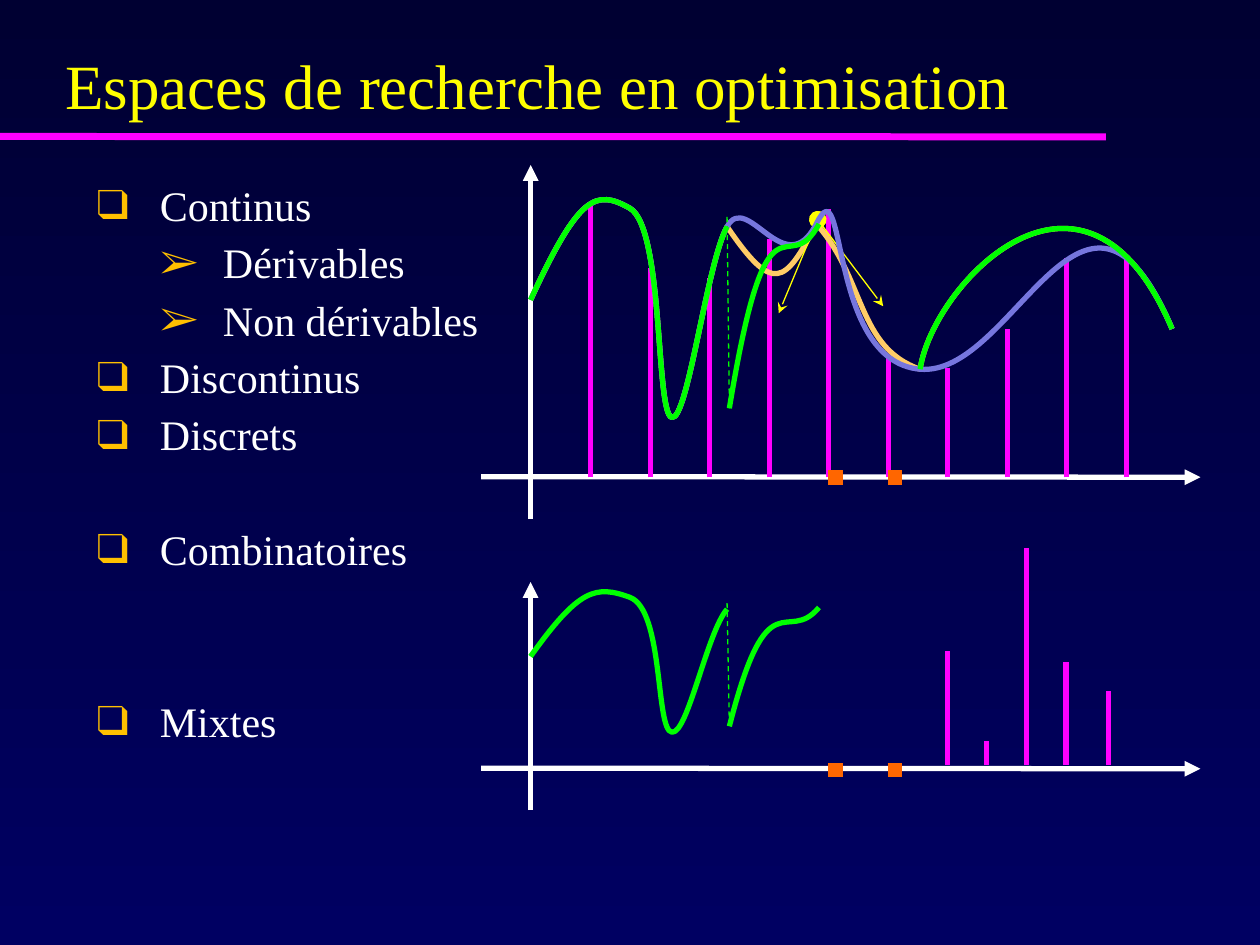
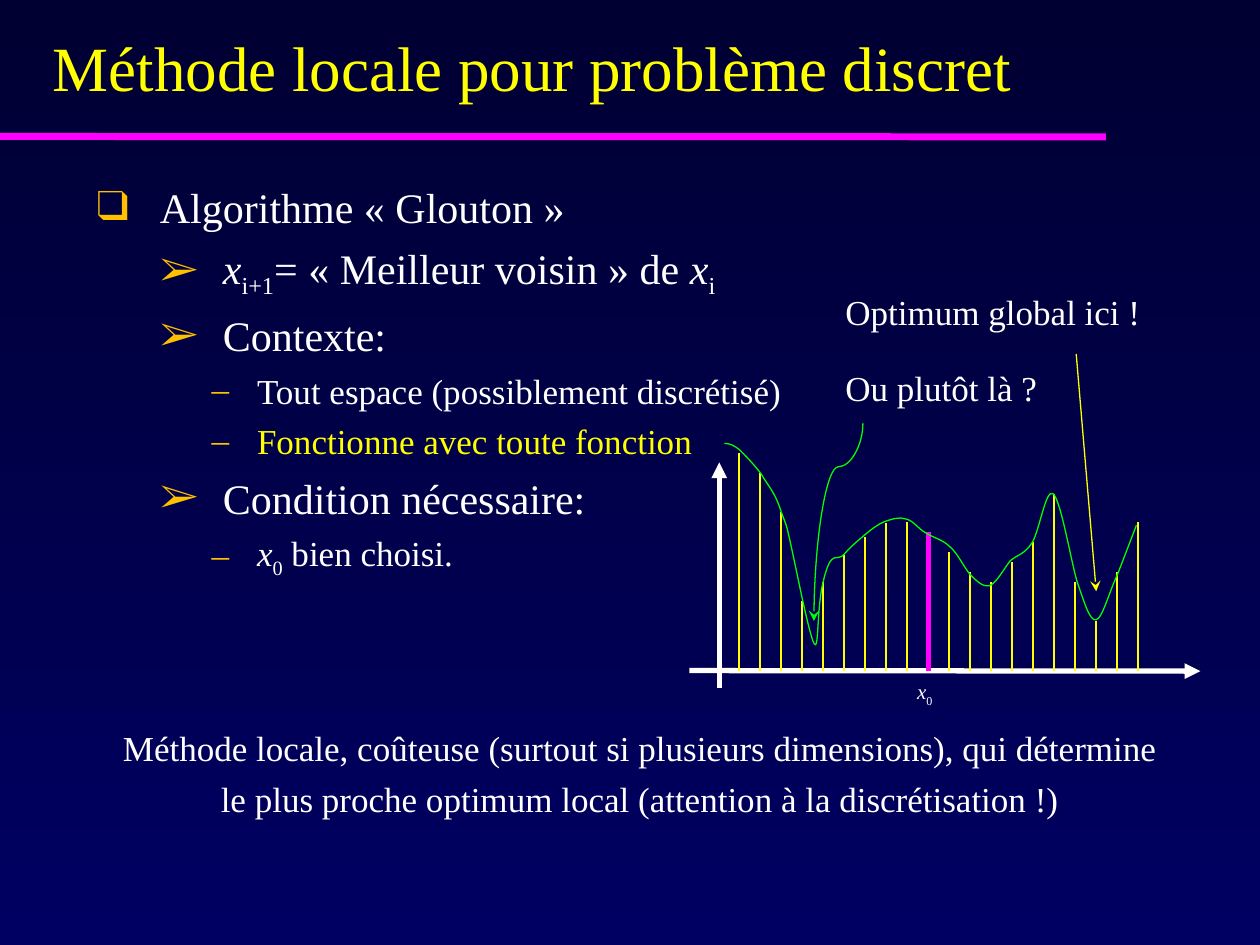
from dataclasses import dataclass
from typing import NamedTuple

from lxml.etree import SubElement
from pptx import Presentation
from pptx.dml.color import RGBColor
from pptx.enum.shapes import MSO_CONNECTOR
from pptx.enum.text import MSO_ANCHOR, MSO_AUTO_SIZE, PP_ALIGN
from pptx.oxml.ns import qn
from pptx.util import Pt


@dataclass(frozen=True)
class Theme:
    font: str = "Times New Roman"
    top: str = "000032"
    bottom: str = "000062"
    white: str = "FFFFFF"
    yellow: str = "FFFF00"
    magenta: str = "FF00FF"
    green: str = "00FF00"
    sand: str = "FFCC66"
    violet: str = "7676DE"
    orange: str = "FF6600"
    bullet: str = "FFC000"
    title_size: float = 36
    text_size: float = 24
    small_size: float = 20
    label_size: float = 12
    thick: float = 3
    thin: float = 0.75


T = Theme()


class Box(NamedTuple):
    left: float
    top: float
    width: float
    height: float


class Bullet(NamedTuple):
    char: str
    left: float
    hang: float
    size: float
    before: float


class Run(NamedTuple):
    text: str
    italic: bool = False
    sub: bool = False
    color: str = T.white


class Para(NamedTuple):
    runs: list[Run]
    level: int | None = None
    size: float = T.small_size
    before: float | None = None
    align: PP_ALIGN = PP_ALIGN.LEFT


class Stroke(NamedTuple):
    color: str
    width: float = T.thick
    dash: str = ""
    head: str = ""
    tail: str = ""


Point = tuple[float, float]
Curve = list[Point]  # a start, then three points for each cubic piece

BULLETS = [
    Bullet("❑", 36, -36, T.text_size, 6),
    Bullet("➢", 72, -36, T.text_size, 6),
    Bullet("–", 91.5, -26, T.small_size, 5),
]
AXIS = Stroke(T.white, tail="triangle")
SAMPLE = Stroke(T.magenta)
SIGNAL = Stroke(T.green)

# Search space curves
WAVE: Curve = [(303.2, 171.4), (331, 111), (340.5, 108), (360, 119), (379.5, 130.5),
               (374.5, 237), (384, 238.5), (393, 240.5), (404, 150), (415.5, 129.5)]
BRANCH: Curve = [(416.8, 233.3), (439, 98.5), (449.5, 162.5), (468, 128)]
HILL: Curve = [(525.8, 211), (533, 162.5), (620, 70), (669.8, 188)]
KINKED: Curve = WAVE + [(442, 168.5), (448.5, 162.5), (466.5, 128),
                        (494.5, 159), (489.5, 198.5)] + HILL
SMOOTH: Curve = WAVE + [(427, 108.5), (448.5, 162.5), (466.5, 128), (484, 91.5),
                        (472.5, 206.5), (525.8, 211), (579.5, 215.5)] + HILL[2:]
SAMPLE_TOPS = [118, 153.4, 159, 136.8, 119.5, 204.5, 210.2, 187.8, 147.6, 147.6]
MIXED_BARS = [(541.5, 372.2), (563.9, 423.3), (586.6, 313.2), (609.2, 378), (633.6, 394.8)]

# Discrete problem
NEIGHBOUR_TOPS = [258.6, 270, 292.5, 343.5, 332.7, 317, 306.7, 299, 298.2, 304,
                  315.5, 327, 332.7, 321, 309.7, 282.3, 332.7, 355, 327, 298.2]
START_INDEX = 9
LANDSCAPE: Curve = [
    (414, 253.4), (416.9, 253.4), (419, 254.2), (422.6, 257),
    (425.5, 259.9), (430.6, 265), (434.9, 270.7), (438.5, 277.2), (442.8, 280.8), (446.4, 292.3),
    (450.7, 304.6), (447.8, 291.6), (458.6, 342.7), (470.2, 394.6), (465.1, 355.7), (470.2, 333.4),
    (475.2, 311.8), (478.1, 321.8), (482.4, 316.8), (486, 312.5), (490.3, 308.9), (494.6, 305.3),
    (498.2, 302.4), (501.8, 299.5), (505.4, 298.1), (509.8, 296.6), (514.1, 295.2), (517.7, 296.6),
    (522, 297.4), (524.9, 302.4), (529.2, 304.6), (533.5, 307.4), (538.6, 308.2), (542.9, 312.5),
    (547.2, 316.1), (550.8, 324), (554.4, 328.3), (558, 331.9), (561.6, 335.5), (565.2, 334.8),
    (569.5, 333.4), (573.8, 324.7), (577.4, 320.4), (581.8, 316.8), (585.4, 316.8), (589.7, 310.3),
    (594, 303.8), (597.6, 278.6), (601.9, 282.2), (606.2, 285.8), (612, 320.4), (615.6, 332.6),
    (619.9, 344.9), (622.8, 355), (626.4, 354.2), (630, 353.5), (634.3, 337), (638.6, 328.3),
    (642.2, 319), (649.4, 300.2), (649.4, 300.2),
]


def style_line(sp, stroke: Stroke) -> None:
    sp.line.color.rgb = RGBColor.from_string(stroke.color)
    sp.line.width = Pt(stroke.width)
    ln = sp.line._get_or_add_ln()
    for tag, kind, value in (("a:prstDash", "val", stroke.dash),
                             ("a:headEnd", "type", stroke.head),
                             ("a:tailEnd", "type", stroke.tail)):
        if value:
            part = SubElement(ln, qn(tag))
            part.set(kind, value)
            if value == "oval":
                part.set("w", "lg")
                part.set("len", "lg")


def add_line(s, start: Point, end: Point, stroke: Stroke, kind=MSO_CONNECTOR.STRAIGHT):
    sp = s.shapes.add_connector(kind, *(Pt(v) for v in (*start, *end)))
    style_line(sp, stroke)
    SubElement(sp._element.spPr, qn("a:effectLst"))
    return sp


def add_turned_curve(s, box: Box, bend: int, stroke: Stroke) -> None:
    """Curved connector given by its box before a quarter turn clockwise."""
    end = (box.left + box.width, box.top + box.height)
    sp = add_line(s, (box.left, box.top), end, stroke, MSO_CONNECTOR.CURVE)
    sp_pr = sp._element.spPr
    sp_pr.find(qn("a:xfrm")).set("rot", "5400000")
    guides = sp_pr.find(qn("a:prstGeom")).find(qn("a:avLst"))
    guide = SubElement(guides, qn("a:gd"))
    guide.set("name", "adj1")
    guide.set("fmla", f"val {bend}")


def sample_curve(curve: Curve, steps: int = 24) -> list[Point]:
    points = []
    for i in range(0, len(curve) - 1, 3):
        for k in range(1, steps + 1):
            t = k / steps
            weights = ((1 - t) ** 3, 3 * t * (1 - t) ** 2, 3 * t * t * (1 - t), t ** 3)
            points.append(tuple(sum(w * c[axis] for w, c in zip(weights, curve[i:i + 4]))
                                for axis in (0, 1)))
    return points


def add_curve(s, curve: Curve, stroke: Stroke) -> None:
    """Freeform sized by the sampled curve, then drawn with its cubic pieces."""
    builder = s.shapes.build_freeform(*(Pt(v) for v in curve[0]))
    builder.add_line_segments([(Pt(x), Pt(y)) for x, y in sample_curve(curve)], close=False)
    sp = builder.convert_to_shape()
    outline = next(sp._element.iter(qn("a:path")))
    for segment in outline.findall(qn("a:lnTo")):
        outline.remove(segment)
    for i in range(1, len(curve), 3):
        piece = SubElement(outline, qn("a:cubicBezTo"))
        for x, y in curve[i:i + 3]:
            pt = SubElement(piece, qn("a:pt"))
            pt.set("x", str(Pt(x) - sp.left))
            pt.set("y", str(Pt(y) - sp.top))
    sp.fill.background()
    sp.shadow.inherit = False
    style_line(sp, stroke)


def add_run(p, run: Run, size: float) -> None:
    r = p.add_run()
    r.text = run.text
    r.font.name = T.font
    r.font.size = Pt(size)
    r.font.italic = run.italic
    r.font.color.rgb = RGBColor.from_string(run.color)
    if run.sub:
        r.font._element.set("baseline", "-25000")


def add_bullet(p, bullet: Bullet) -> None:
    p_pr = p._p.get_or_add_pPr()
    p_pr.set("marL", str(Pt(bullet.left)))
    p_pr.set("indent", str(Pt(bullet.hang)))
    color = SubElement(SubElement(p_pr, qn("a:buClr")), qn("a:srgbClr"))
    color.set("val", T.bullet)
    SubElement(p_pr, qn("a:buFont")).set("typeface", T.font)
    SubElement(p_pr, qn("a:buChar")).set("char", bullet.char)


def add_text(s, box: Box, paras: list[Para], spacing: float | None = None) -> None:
    tf = s.shapes.add_textbox(*(Pt(v) for v in box)).text_frame
    tf.word_wrap = True
    for i, para in enumerate(paras):
        p = tf.paragraphs[0] if i == 0 else tf.add_paragraph()
        p.alignment = para.align
        if spacing:
            p.line_spacing = spacing
        bullet = None if para.level is None else BULLETS[para.level]
        before = para.before
        if before is None and bullet and i:
            before = bullet.before
        p.space_before = Pt(before or 0)
        if bullet:
            p.level = para.level
            add_bullet(p, bullet)
        for run in para.runs:
            add_run(p, run, bullet.size if bullet else para.size)


def set_master(prs) -> None:
    """Give every slide the gradient background and the magenta title rule."""
    master = prs.slide_master
    fill = master.background.fill
    fill.gradient()
    fill.gradient_angle = 270
    for stop, color, position in zip(fill.gradient_stops, (T.top, T.bottom), (0, 1)):
        stop.color.rgb = RGBColor.from_string(color)
        stop.position = position
    rule = add_line(prs.slides[0], (0, 78), (632, 78.2), Stroke(T.magenta, 4))
    master.shapes._spTree.append(rule._element)


def add_slide(prs, title: str, box: Box, anchor: MSO_ANCHOR, inset: Point):
    s = prs.slides.add_slide(prs.slide_layouts[5])
    sp = s.shapes.title
    sp.left, sp.top, sp.width, sp.height = (Pt(v) for v in box)
    tf = sp.text_frame
    tf.auto_size = MSO_AUTO_SIZE.NONE
    tf.word_wrap = True
    tf.vertical_anchor = anchor
    tf.margin_left = tf.margin_right = Pt(inset[0])
    tf.margin_top = tf.margin_bottom = Pt(inset[1])
    p = tf.paragraphs[0]
    p.alignment = PP_ALIGN.LEFT
    p.line_spacing = 0.68
    add_run(p, Run(title, color=T.yellow), T.title_size)
    return s


def add_axes(s, x: float, bottom: float, top: float, left: float, y: float) -> None:
    add_line(s, (x, bottom), (x, top), AXIS)
    add_line(s, (left, y), (686, y + 0.3), AXIS)


def add_signal(s, dots_y: float, scale: float = 1, shift: float = 0) -> None:
    """Discontinuous green signal with its dashed jump and two discrete points."""
    def place(curve: Curve) -> Curve:
        return [(x, y * scale + shift) for x, y in curve]

    for curve in (WAVE, BRANCH):
        add_curve(s, place(curve), SIGNAL)
    add_line(s, (473.2, dots_y), (530, dots_y), Stroke(T.orange, 8.5, dash="dot"))
    add_line(s, *place([(415.5, 124), (416.8, 233.3)]), Stroke(T.green, T.thin, dash="dash"))


def build_spaces(prs) -> None:
    s = add_slide(prs, "Espaces de recherche en optimisation",
                  Box(30.2, 21.6, 612, 50.4), MSO_ANCHOR.BOTTOM, (7.2, 3.6))
    items = [("Continus", 0, None), ("Dérivables", 1, None), ("Non dérivables", 1, None),
             ("Discontinus", 0, None), ("Discrets", 0, None),
             ("Combinatoires", 0, 38.8), ("Mixtes", 0, 71.5)]
    add_text(s, Box(48.3, 101.5, 608, 384),
             [Para([Run(text)], level, before=before) for text, level, before in items], 0.93)

    add_axes(s, 303.3, 296.6, 94.3, 275, 272.4)
    for i, top in enumerate(SAMPLE_TOPS):
        x = 337.6 + 34 * i
        add_line(s, (x, 272.8), (x, top), SAMPLE)
    add_curve(s, KINKED, Stroke(T.sand))
    for tip in ((504.7, 175), (445, 179)):
        add_line(s, (467.3, 125.5), tip, Stroke(T.yellow, T.thin, head="oval", tail="stealth"))
    add_curve(s, SMOOTH, Stroke(T.violet))
    add_curve(s, HILL, SIGNAL)
    add_signal(s, 272.8)

    add_axes(s, 303.2, 463, 332.6, 275, 439)
    add_signal(s, 440, scale=0.645, shift=264.6)
    for x, top in MIXED_BARS:
        add_line(s, (x, 437.2), (x, top), SAMPLE)


def build_greedy(prs) -> None:
    s = add_slide(prs, "Méthode locale pour problème discret",
                  Box(30.2, 14.4, 692, 58.3), MSO_ANCHOR.MIDDLE, (0, 0))
    x_var = Run("x", italic=True)
    zero = Run("0", sub=True)
    add_text(s, Box(48.3, 100, 576, 324), [
        Para([Run("Algorithme « Glouton »")], 0),
        Para([x_var, Run("i+1", sub=True), Run("= « Meilleur voisin » de "),
              x_var, Run("i", sub=True)], 1),
        Para([Run("Contexte:")], 1),
        Para([Run("Tout espace (possiblement discrétisé)")], 2),
        Para([Run("Fonctionne avec toute fonction", color=T.yellow)], 2),
        Para([Run("Condition nécessaire:")], 1),
        Para([x_var, zero, Run(" bien choisi.")], 2),
    ])
    add_text(s, Box(54, 411.7, 623.5, 60.5), [
        Para([Run("Méthode locale, coûteuse (surtout si plusieurs dimensions), qui détermine")],
             align=PP_ALIGN.CENTER),
        Para([Run("le plus proche optimum local (attention à la discrétisation !)")],
             before=5, align=PP_ALIGN.CENTER),
    ])

    add_axes(s, 411, 393.4, 264.2, 394, 383.2)
    for i, top in enumerate(NEIGHBOUR_TOPS):
        x = 422.5 + 12 * i
        add_line(s, (x, 383.2), (x, top), SAMPLE if i == START_INDEX else Stroke(T.yellow, 1))
    add_text(s, Box(517, 384.5, 25.2, 21.6), [Para([x_var, zero], size=T.label_size)])
    add_curve(s, LANDSCAPE, Stroke(T.green, T.thin))

    add_text(s, Box(476, 162.3, 185, 32), [Para([Run("Optimum global ici !")])])
    add_line(s, (615, 202.2), (626.4, 337.9), Stroke(T.yellow, T.thin, tail="stealth"))
    add_text(s, Box(476, 206, 125.5, 32), [Para([Run("Ou plutôt là ?")])])
    add_turned_curve(s, Box(422.6, 284.4, 113, 28), 22000,
                     Stroke(T.green, T.thin, tail="stealth"))


def main() -> None:
    prs = Presentation()
    prs.slide_width, prs.slide_height = Pt(720), Pt(540)
    build_spaces(prs)
    build_greedy(prs)
    set_master(prs)
    prs.save("out.pptx")


if __name__ == "__main__":
    main()
